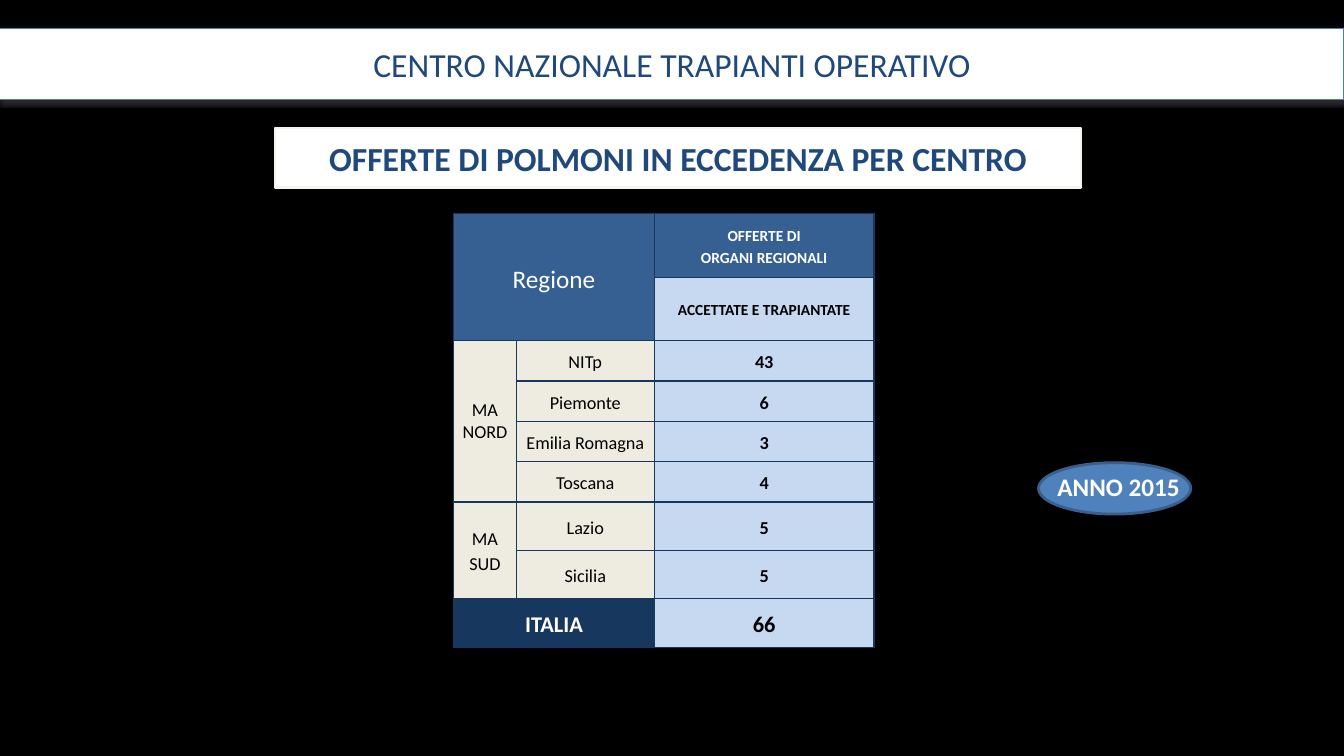
from lxml.etree import SubElement
from pptx import Presentation
from pptx.dml.color import RGBColor
from pptx.enum.shapes import MSO_SHAPE as Shape
from pptx.enum.text import MSO_ANCHOR as Anchor, PP_ALIGN as Align
from pptx.oxml import parse_xml
from pptx.oxml.ns import nsdecls, qn
from pptx.util import Inches, Pt

NAVY, BLUE, PALE, CREAM = "17375E", "376092", "C6D9F1", "EEECE1"
WHITE, BLACK, TITLE = "FFFFFF", "000000", "1F497D"


def color(value):
    return RGBColor.from_string(value)


def paint(fill, value):
    fill.solid()
    fill.fore_color.rgb = color(value)


class SlideBuilder:
    font = "Calibri"

    def __init__(self, page, background):
        self.page = page
        paint(page.background.fill, background)

    def add_text(self, frame, text, size, ink, bold=False, spacing=1.0):
        frame.vertical_anchor = Anchor.MIDDLE
        for index, words in enumerate(text.split("\n")):
            para = frame.add_paragraph() if index else frame.paragraphs[0]
            para.alignment, para.line_spacing = Align.CENTER, spacing
            span = para.add_run()
            span.text = words
            style = {"name": self.font, "size": Pt(size), "bold": bold}
            for key, value in style.items():
                setattr(span.font, key, value)
            span.font.color.rgb = color(ink)

    def shape(self, kind, place, fill, line, width):
        box = self.page.shapes.add_shape(kind, *map(Inches, place))
        box.shadow.inherit = False
        paint(box.fill, fill)
        box.line.color.rgb = color(line)
        box.line.width = Pt(width)
        return box

    def shadow(self, box, value, alpha, blur, distance):
        effects = box._element.spPr.find(qn("a:effectLst"))
        outer = SubElement(effects, qn("a:outerShdw"), blurRad=str(Pt(blur)),
                           dist=str(Pt(distance)), dir="5400000", rotWithShape="0")
        tint = SubElement(outer, qn("a:srgbClr"), val=value)
        SubElement(tint, qn("a:alpha"), val=str(alpha * 1000))

    def label(self, place, text, size, ink, bold):
        box = self.page.shapes.add_textbox(*map(Inches, place))
        box.text_frame.word_wrap = False
        self.add_text(box.text_frame, text, size, ink, bold)

    def table(self, left, top, columns, rows):
        place = (left, top, sum(columns), sum(rows))
        frame = self.page.shapes.add_table(len(rows), len(columns), *map(Inches, place))
        grid = frame.table
        for column, width in zip(grid.columns, columns):
            column.width = Inches(width)
        for row, height in zip(grid.rows, rows):
            row.height = Inches(height)
        for row in grid.rows:
            for cell in row.cells:
                self.border(cell, NAVY, 1)
        return grid

    def border(self, cell, value, width):
        properties = cell._tc.get_or_add_tcPr()
        for index, side in enumerate(("lnL", "lnR", "lnT", "lnB")):
            properties.insert(index, parse_xml(
                f'<a:{side} {nsdecls("a")} w="{Pt(width)}"><a:solidFill>'
                f'<a:srgbClr val="{value}"/></a:solidFill></a:{side}>'))

    def cell(self, grid, row, column, text, fill, size=13, ink=BLACK, bold=False,
             span=(1, 1), spacing=1.15):
        cell = grid.cell(row, column)
        last = grid.cell(row + span[0] - 1, column + span[1] - 1)
        if span != (1, 1):
            cell.merge(last)
        paint(cell.fill, fill)
        margins = {"left": 0.08, "top": 0, "right": 0.08, "bottom": 0}
        for side, inset in margins.items():
            setattr(cell, f"margin_{side}", Inches(inset))
        cell.vertical_anchor = Anchor.MIDDLE
        self.add_text(cell.text_frame, text, size, ink, bold, spacing)


deck = Presentation()
deck.slide_width, deck.slide_height = Inches(13.33), Inches(7.5)
slide = SlideBuilder(deck.slides.add_slide(deck.slide_layouts[6]), BLACK)

banner = slide.shape(Shape.RECTANGLE, (0, 0.28, 13.33, 0.71), WHITE, "4A7EBB", 0.75)
slide.shadow(banner, "808080", 35, 3.1, 1.8)
slide.add_text(banner.text_frame, "CENTRO NAZIONALE TRAPIANTI OPERATIVO", 24, TITLE)
heading = slide.shape(Shape.RECTANGLE, (2.73, 1.27, 7.99, 0.59), WHITE, "F5F4ED", 1.5)
slide.add_text(heading.text_frame, "OFFERTE DI POLMONI IN ECCEDENZA PER CENTRO", 24, TITLE, True)

areas = [
    ("MA NORD", 1.0, [("NITp", 43), ("Piemonte", 6), ("Emilia Romagna", 3), ("Toscana", 4)]),
    ("MA SUD", 1.15, [("Lazio", 5), ("Sicilia", 5)]),
]
heights = [0.63] * 2 + [0.4] * 4 + [0.48] * 3
offers = slide.table(4.5, 2.12, [0.62, 1.37, 2.18], heights)
slide.cell(offers, 0, 0, "Regione", BLUE, 18, WHITE, span=(2, 2))
slide.cell(offers, 0, 2, "OFFERTE DI\nORGANI REGIONALI", BLUE, 11, WHITE, True)
slide.cell(offers, 1, 2, "ACCETTATE E TRAPIANTATE", PALE, 11, bold=True)
row = 2
for area, spacing, regions in areas:
    slide.cell(offers, row, 0, area, CREAM, span=(len(regions), 1), spacing=spacing)
    for region, count in regions:
        slide.cell(offers, row, 1, region, CREAM)
        slide.cell(offers, row, 2, str(count), PALE, bold=True)
        row += 1
total = sum(count for _, _, regions in areas for _, count in regions)
slide.cell(offers, row, 0, "ITALIA", NAVY, 16, WHITE, True, span=(1, 2))
slide.cell(offers, row, 2, str(total), PALE, 16, bold=True)

slide.shape(Shape.OVAL, (10.3, 4.59, 1.51, 0.51), "4F81BD", "3A5F8C", 2)
slide.label((10.38, 4.63, 1.43, 0.4), "ANNO 2015", 18, WHITE, True)

deck.save("out.pptx")
